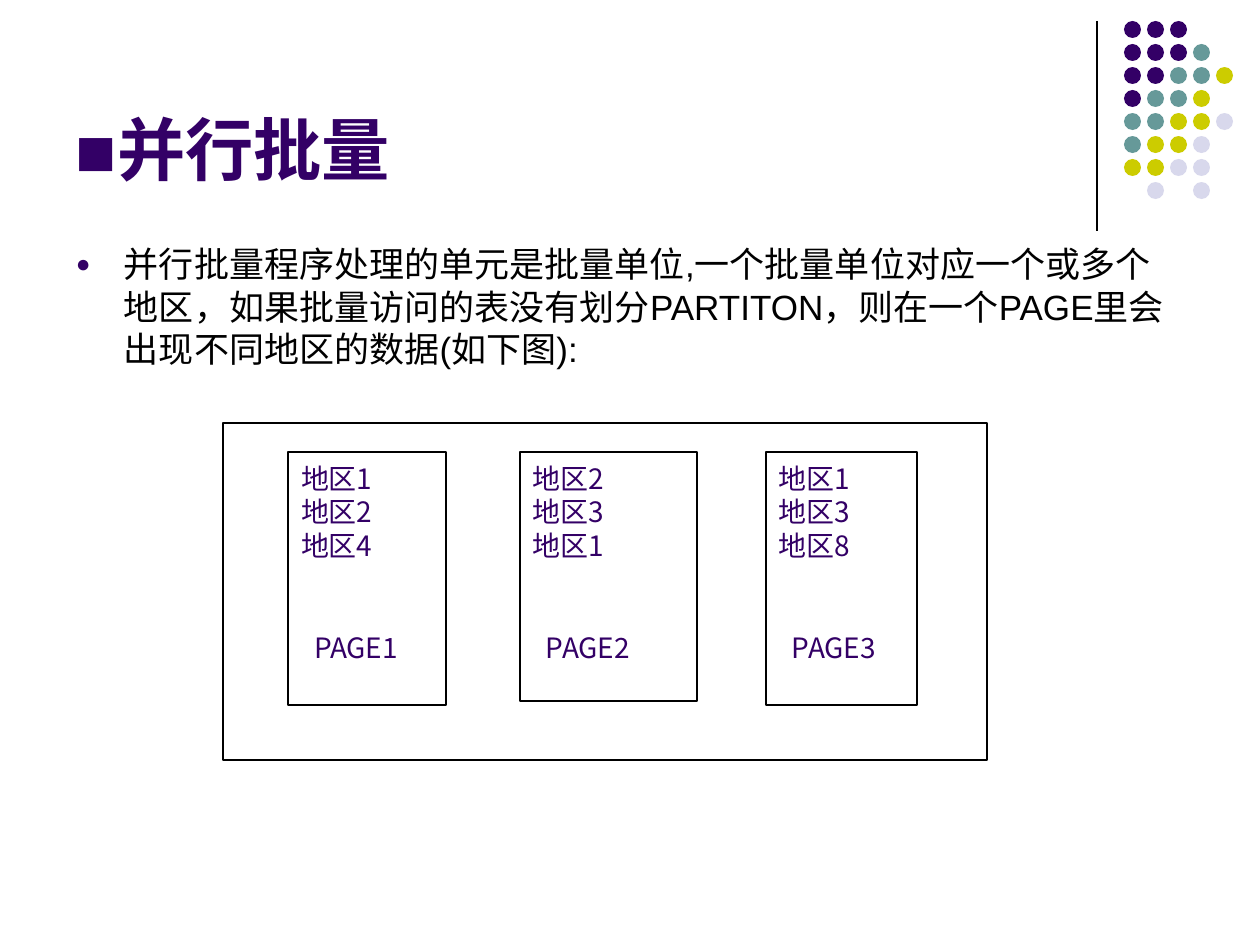
from lxml.etree import SubElement
from pptx import Presentation
from pptx.dml.color import RGBColor
from pptx.enum.shapes import MSO_CONNECTOR, MSO_SHAPE
from pptx.enum.text import MSO_ANCHOR, MSO_AUTO_SIZE, PP_ALIGN
from pptx.oxml import parse_xml
from pptx.oxml.ns import nsdecls, qn
from pptx.util import Emu, Pt

TITLE = (("■", False), ("并行批量", True))
EXPLANATION = (
    "并行批量程序处理的单元是批量单位,一个批量单位对应一个或多个地区，"
    "如果批量访问的表没有划分PARTITON，则在一个PAGE里会出现不同地区的数据(如下图):"
)
PAGES = (
    ("PAGE1", ("地区1", "地区2", "地区4"), (288, 452, 158, 253)),
    ("PAGE2", ("地区2", "地区3", "地区1"), (520, 452, 177, 249)),
    ("PAGE3", ("地区1", "地区3", "地区8"), (766, 452, 151, 253)),
)
DOT_ROWS = ("PPP", "PPPT", "PPTTY", "PTTY", "TTYYL", "TYYL", "YYLL", " L L")

THEME = {
    "purple": RGBColor.from_string("330066"),
    "black": RGBColor.from_string("000000"),
    "white": RGBColor.from_string("FFFFFF"),
    "dots": {
        "P": RGBColor.from_string("330066"),
        "T": RGBColor.from_string("669999"),
        "Y": RGBColor.from_string("CCCC00"),
        "L": RGBColor.from_string("D8D8EC"),
    },
    "title": {"name": "Arial", "size": Pt(39)},
    "body": {"name": "Arial", "size": Pt(20), "bold": False},
    "page": {"name": "Noto Sans CJK SC", "size": Pt(16), "bold": False},
    "rule": Pt(0.75),
}

TITLE_AREA = (63, 16, 1040, 179)
BODY_AREA = (63, 237, 1134, 607)
TABLE_AREA = (223, 423, 764, 337)
DIVIDER = (1097, 21, 1097, 231)
DOT_ORIGIN, DOT_PITCH, DOT_SIZE = (1124, 21), 23, 17
INSET_X, INSET_Y, PAGE_INSET_Y = 13, 6, 9
BULLET_INDENT, PAGE_INDENT = 48, 13


def px(count):
    return Emu(round(count * 914400 / 126))


def box(area):
    return [px(length) for length in area]


def assign(target, values):
    for field, value in values.items():
        setattr(target, field, value)


def set_frame(frame, anchor=MSO_ANCHOR.TOP, top=INSET_Y):
    assign(frame, {
        "auto_size": MSO_AUTO_SIZE.NONE,
        "word_wrap": True,
        "vertical_anchor": anchor,
        "margin_left": px(INSET_X),
        "margin_right": px(INSET_X),
        "margin_top": px(top),
        "margin_bottom": px(INSET_Y),
    })


def add_run(paragraph, wording, style, color):
    run = paragraph.add_run()
    run.text = wording
    assign(run.font, style)
    run.font.color.rgb = color
    latin = run.font._element.find(qn("a:latin"))
    latin.addnext(parse_xml(f'<a:ea {nsdecls("a")} typeface="{style["name"]}"/>'))


def add_bullet(paragraph):
    properties = paragraph._p.get_or_add_pPr()
    properties.set("marL", str(px(BULLET_INDENT)))
    properties.set("indent", str(-px(BULLET_INDENT)))
    color = SubElement(properties, qn("a:buClr"))
    SubElement(color, qn("a:srgbClr")).set("val", str(THEME["purple"]))
    SubElement(properties, qn("a:buSzPct")).set("val", "70000")
    SubElement(properties, qn("a:buFont")).set("typeface", "Arial")
    SubElement(properties, qn("a:buChar")).set("char", "●")


def add_rectangle(slide, area):
    rectangle = slide.shapes.add_shape(MSO_SHAPE.RECTANGLE, *box(area))
    rectangle.shadow.inherit = False
    rectangle.fill.solid()
    rectangle.fill.fore_color.rgb = THEME["white"]
    rectangle.line.color.rgb = THEME["black"]
    rectangle.line.width = THEME["rule"]
    return rectangle


def add_page(slide, label, regions, area):
    frame = add_rectangle(slide, area).text_frame
    set_frame(frame, top=PAGE_INSET_Y)
    for index, wording in enumerate((*regions, label)):
        paragraph = frame.add_paragraph() if index else frame.paragraphs[0]
        assign(paragraph, {"alignment": PP_ALIGN.JUSTIFY, "line_spacing": Pt(19.3)})
        add_run(paragraph, wording, THEME["page"], THEME["purple"])
    paragraph.space_before = Pt(38.6)
    paragraph._p.get_or_add_pPr().set("marL", str(px(PAGE_INDENT)))


def add_decoration(slide):
    divider = slide.shapes.add_connector(MSO_CONNECTOR.STRAIGHT, *box(DIVIDER))
    divider.line.color.rgb = THEME["black"]
    divider.line.width = THEME["rule"]
    SubElement(divider._element.spPr, qn("a:effectLst"))
    dots = slide.shapes.add_group_shape()
    left, top = DOT_ORIGIN
    for row, codes in enumerate(DOT_ROWS):
        for column, code in enumerate(codes):
            if code == " ":
                continue
            area = (left + column * DOT_PITCH, top + row * DOT_PITCH, DOT_SIZE, DOT_SIZE)
            dot = dots.shapes.add_shape(MSO_SHAPE.OVAL, *box(area))
            dot.shadow.inherit = False
            dot.fill.solid()
            dot.fill.fore_color.rgb = THEME["dots"][code]
            dot.line.fill.background()


def add_title(slide):
    title = slide.shapes.title
    assign(title, dict(zip(("left", "top", "width", "height"), box(TITLE_AREA))))
    set_frame(title.text_frame, MSO_ANCHOR.BOTTOM)
    heading = title.text_frame.paragraphs[0]
    heading.alignment = PP_ALIGN.LEFT
    for wording, bold in TITLE:
        add_run(heading, wording, {**THEME["title"], "bold": bold}, THEME["purple"])


def add_explanation(slide):
    frame = slide.shapes.add_textbox(*box(BODY_AREA)).text_frame
    set_frame(frame)
    explanation = frame.paragraphs[0]
    explanation.line_spacing = Pt(24)
    add_bullet(explanation)
    add_run(explanation, EXPLANATION, THEME["body"], THEME["black"])


def main():
    deck = Presentation()
    assign(deck, {"slide_width": px(1260), "slide_height": px(945)})
    slide = deck.slides.add_slide(deck.slide_layouts[5])
    add_decoration(slide)
    add_title(slide)
    add_explanation(slide)
    add_rectangle(slide, TABLE_AREA)
    for label, regions, area in PAGES:
        add_page(slide, label, regions, area)
    deck.save("out.pptx")


if __name__ == "__main__":
    main()
